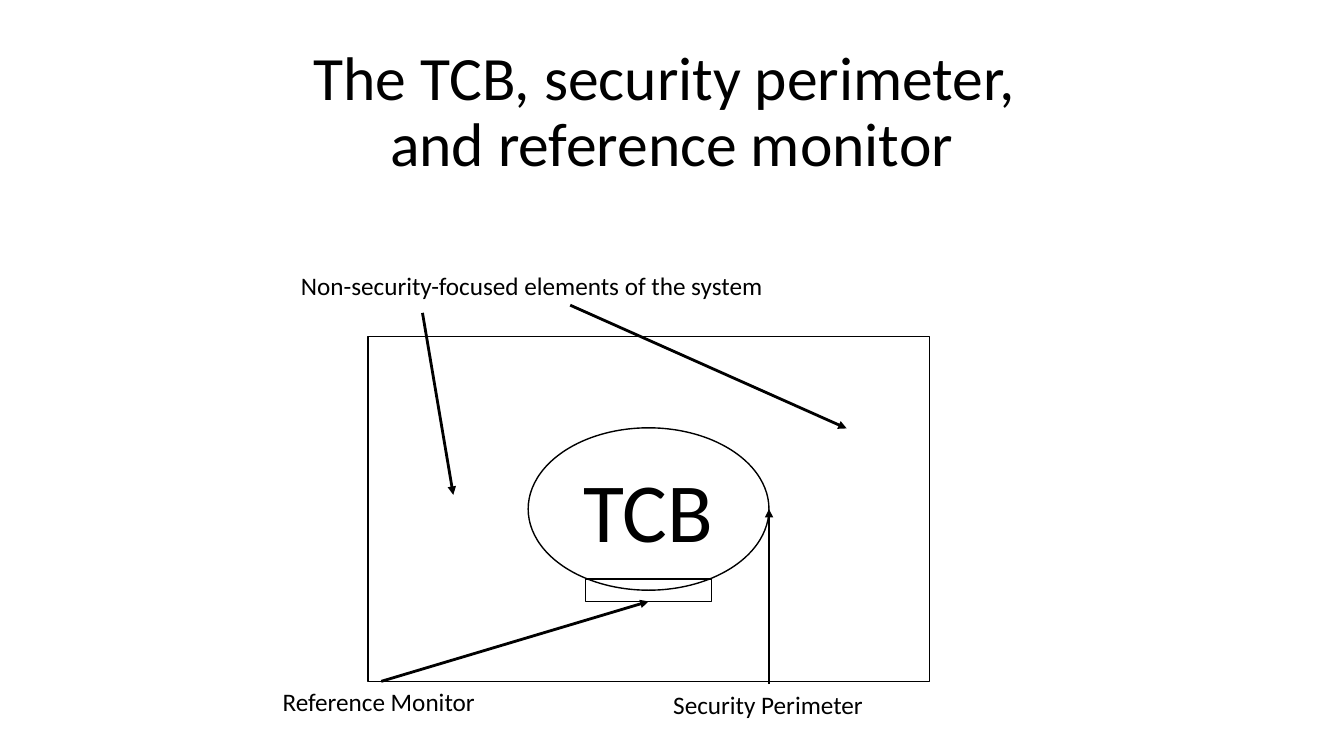
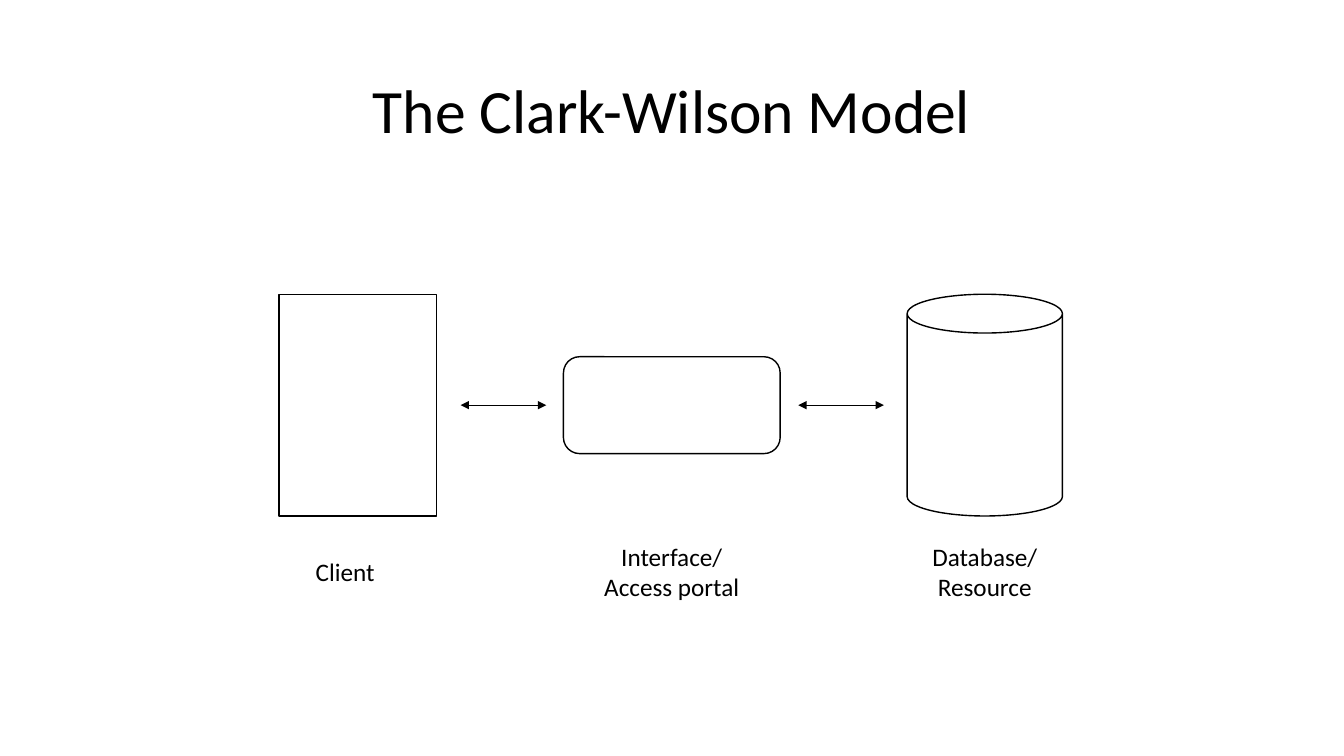
from lxml.etree import SubElement
from pptx import Presentation
from pptx.dml.color import RGBColor
from pptx.enum.shapes import MSO_CONNECTOR as Connector, MSO_SHAPE as Shape
from pptx.enum.text import MSO_ANCHOR as Anchor, MSO_AUTO_SIZE as AutoSize, PP_ALIGN as Align
from pptx.oxml.ns import qn
from pptx.util import Pt

BLACK = RGBColor(0, 0, 0)
FONT = "Calibri"
TITLE_BOX = (66, 28.8, 828, 104.4)
TITLE_FORMAT = {"size": 44, "align": Align.CENTER, "spacing": 0.9}
LABEL_FORMAT = {"size": 18}
CENTERED_LABEL = {"size": 18, "align": Align.CENTER}
LABEL_HEIGHT = 29


def points(*values):
    return [Pt(value) for value in values]


def write(frame, text, size, align=Align.LEFT, spacing=None):
    frame.text = text
    for para in frame.paragraphs:
        para.alignment = align
        para.line_spacing = spacing
        for span in para.runs:
            for name, value in {"name": FONT, "size": Pt(size)}.items():
                setattr(span.font, name, value)
            span.font.color.rgb = BLACK


def add_title(page, text):
    frame = page.shapes.add_textbox(*points(*TITLE_BOX)).text_frame
    frame.word_wrap = True
    frame.vertical_anchor = Anchor.MIDDLE
    write(frame, text, **TITLE_FORMAT)


def add_label(page, text, left, top, width, height=LABEL_HEIGHT, style=LABEL_FORMAT):
    frame = page.shapes.add_textbox(*points(left, top, width, height)).text_frame
    frame.word_wrap = False
    frame.auto_size = AutoSize.SHAPE_TO_FIT_TEXT
    write(frame, text, **style)


def add_outline(page, kind, left, top, width, height):
    outline = page.shapes.add_shape(kind, *points(left, top, width, height))
    outline.shadow.inherit = False
    outline.fill.background()
    outline.line.color.rgb = BLACK
    outline.line.width = Pt(1)
    return outline


def add_arrow(page, start, end, width=2, both_ends=False):
    arrow = page.shapes.add_connector(Connector.STRAIGHT, *points(*start, *end))
    arrow.line.color.rgb = BLACK
    arrow.line.width = Pt(width)
    line = arrow.line._get_or_add_ln()
    for tag in ("a:headEnd", "a:tailEnd") if both_ends else ("a:tailEnd",):
        SubElement(line, qn(tag), type="triangle")
    SubElement(arrow._element.spPr, qn("a:effectLst"))


def draw_security_perimeter(page, left, top, width, height):
    center, middle, bottom = left + width / 2, top + height / 2, top + height
    tcb_width, tcb_height = 172, 116
    monitor_width, monitor_height = 90, 16
    monitor_top = middle + 50

    add_outline(page, Shape.RECTANGLE, left, top, width, height)
    tcb = add_outline(page, Shape.OVAL, center - tcb_width / 2, middle - tcb_height / 2,
                      tcb_width, tcb_height)
    tcb.text_frame.vertical_anchor = Anchor.MIDDLE
    write(tcb.text_frame, "TCB", 60, Align.CENTER)
    add_outline(page, Shape.RECTANGLE, center - monitor_width / 2, monitor_top,
                monitor_width, monitor_height)

    add_label(page, "Non-security-focused elements of the system", left - 55, top - 51, 348.5)
    add_label(page, "Reference Monitor", left - 68, bottom, 153.4)
    add_label(page, "Security Perimeter", left + 211, bottom + 2, 151.2)

    tcb_right = center + tcb_width / 2
    for start, end in (
        ((left + 39, top - 17), (left + 61, top + 113)),
        ((left + 144.5, top - 22.5), (left + 342, top + 65.5)),
        ((left + 9.5, bottom), (center, monitor_top + monitor_height)),
        ((tcb_right, bottom + 2), (tcb_right, middle)),
    ):
        add_arrow(page, start, end)


def draw_client_chain(page, left, top, width, height):
    middle = top + height / 2
    stages = (
        (Shape.RECTANGLE, 112.3, height, "Client", 57, -9),
        (Shape.ROUNDED_RECTANGLE, 154.8, 69.2, "Interface/\nAccess portal", 112.3, 0),
        (Shape.CAN, 110.9, height, "Database/\nResource", 90.7, 0),
    )
    gap = (width - sum(stage[1] for stage in stages)) / (len(stages) - 1)
    label_middle = top + height + 39.8
    stage_left = left
    for kind, stage_width, stage_height, text, label_width, shift in stages:
        add_outline(page, kind, stage_left, middle - stage_height / 2, stage_width, stage_height)
        label_height = LABEL_HEIGHT + 22 * text.count("\n")
        add_label(page, text, stage_left + (stage_width - label_width) / 2 + shift,
                  label_middle - label_height / 2, label_width, label_height, CENTERED_LABEL)
        stage_left += stage_width + gap

    arrow_length = 61.2
    for arrow_left in (left + 129.6, left + 370.8):
        add_arrow(page, (arrow_left, middle), (arrow_left + arrow_length, middle), 0.5, True)


def main():
    deck = Presentation()
    deck.slide_width, deck.slide_height = points(960, 540)
    for title, draw, box in (
        ("The TCB, security perimeter, \vand reference monitor",
         draw_security_perimeter, (262.8, 240.5, 401, 246.2)),
        ("The Clark-Wilson Model", draw_client_chain, (199.4, 210.2, 559.5, 158.4)),
    ):
        page = deck.slides.add_slide(deck.slide_layouts[6])
        add_title(page, title)
        draw(page, *box)
    deck.save("out.pptx")


if __name__ == "__main__":
    main()
